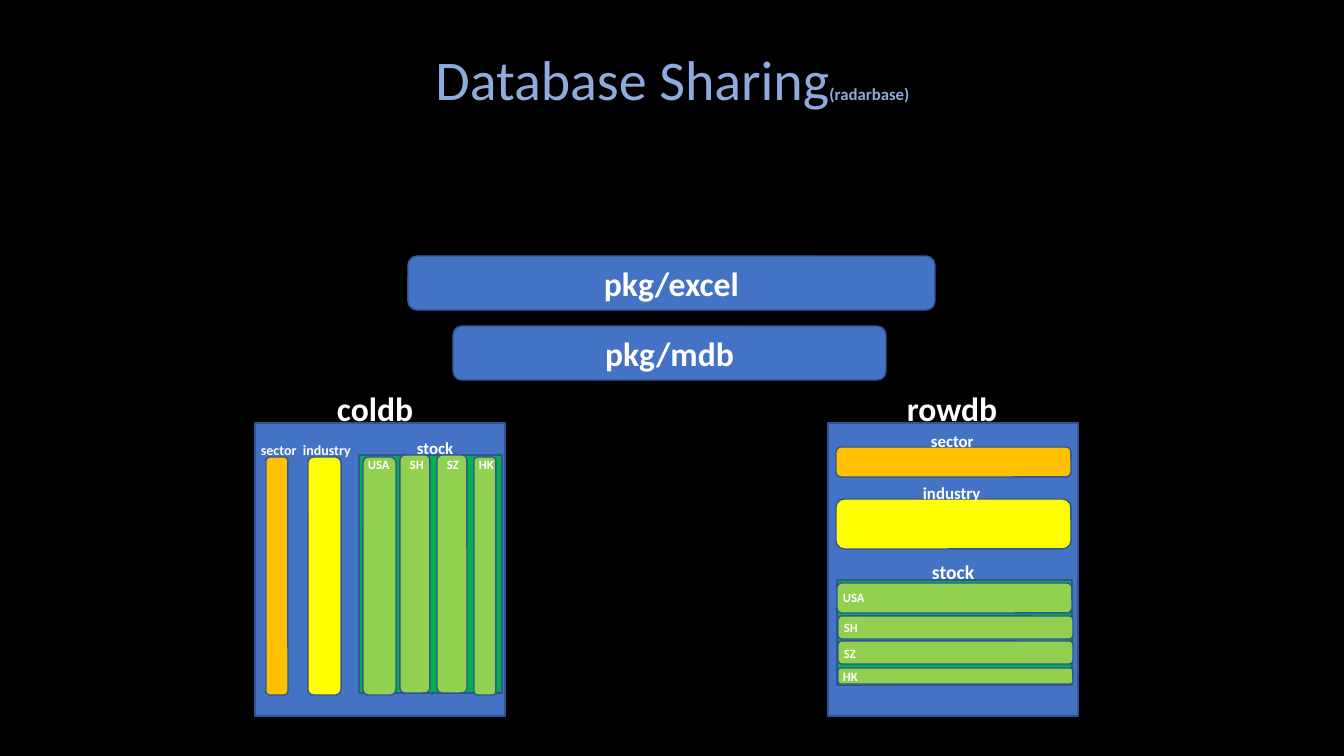
import pptx
import pptx.dml.color
import pptx.enum.shapes
import pptx.enum.text
import pptx.util

SHAPE = pptx.enum.shapes.MSO_SHAPE
ALIGN = pptx.enum.text.PP_ALIGN
ANCHOR = pptx.enum.text.MSO_ANCHOR
AUTO_SIZE = pptx.enum.text.MSO_AUTO_SIZE

BLACK, WHITE, TITLE_BLUE = "000000", "FFFFFF", "8FAADC"
BLUE, OUTLINE = "4472C4", "325491"
ORANGE, YELLOW, DARK_GREEN, GREEN = "FFC000", "FFFF00", "00B050", "92D050"


def px(*lengths):
    return [pptx.util.Emu(round(length * 914400 / 100.8)) for length in lengths]


def rgb(value):
    return pptx.dml.color.RGBColor.from_string(value)


class Diagram:
    def __init__(self, slide, font_name="Calibri"):
        self.slide = slide
        self.font_name = font_name

    def background(self, color):
        fill = self.slide.background.fill
        fill.solid()
        fill.fore_color.rgb = rgb(color)

    def style(self, font, size, color=WHITE, bold=True):
        font.name = self.font_name
        font.size = pptx.util.Pt(size)
        font.bold = bold
        font.color.rgb = rgb(color)

    def title(self, box, parts):
        """Fill the title with (text, size, bold) parts."""
        title = self.slide.shapes.title
        title.left, title.top, title.width, title.height = px(*box)
        frame = title.text_frame
        frame.word_wrap = True
        frame.auto_size = AUTO_SIZE.NONE
        frame.vertical_anchor = ANCHOR.TOP
        paragraph = frame.paragraphs[0]
        paragraph.alignment = ALIGN.CENTER
        for text, size, bold in parts:
            run = paragraph.add_run()
            run.text = text
            self.style(run.font, size, TITLE_BLUE, bold)

    def block(self, box, color, kind=SHAPE.ROUNDED_RECTANGLE, text=None):
        shape = self.slide.shapes.add_shape(kind, *px(*box))
        shape.shadow.inherit = False
        shape.fill.solid()
        shape.fill.fore_color.rgb = rgb(color)
        shape.line.color.rgb = rgb(OUTLINE)
        shape.line.width = pptx.util.Pt(1)
        if text:
            shape.text_frame.vertical_anchor = ANCHOR.MIDDLE
            paragraph = shape.text_frame.paragraphs[0]
            paragraph.text = text
            paragraph.alignment = ALIGN.CENTER
            self.style(paragraph.font, 24)

    def label(self, text, box, size):
        frame = self.slide.shapes.add_textbox(*px(*box)).text_frame
        frame.word_wrap = False
        frame.auto_size = AUTO_SIZE.SHAPE_TO_FIT_TEXT
        paragraph = frame.paragraphs[0]
        paragraph.text = text
        self.style(paragraph.font, size)


def draw_databases(diagram):
    for name, panel_left, label_left, label_width in (
        ("coldb", 255, 327, 97),
        ("rowdb", 828, 897, 112),
    ):
        diagram.block((panel_left, 423, 250, 293), BLUE, SHAPE.RECTANGLE)
        diagram.label(name, (label_left, 383, label_width, 50), 24)


def draw_column_tables(diagram):
    bar_height = 238
    diagram.block((359, 455, 143, bar_height), DARK_GREEN, SHAPE.RECTANGLE)
    for left, top, width, color in (
        (266, 457, 22, ORANGE),
        (308, 457, 33, YELLOW),
        (363, 457, 33, GREEN),
        (400, 455, 30, GREEN),
        (437, 455, 30, GREEN),
        (474, 457, 22, GREEN),
    ):
        diagram.block((left, top, width, bar_height), color)
    for text, box, size in (
        ("sector", (251, 437, 58, 27), 10),
        ("industry", (293, 437, 71, 27), 10),
        ("stock", (407, 433, 60, 30), 12),
        ("USA", (358, 452, 44, 25), 9),
        ("SH", (400, 452, 36, 25), 9),
        ("SZ", (437, 452, 34, 25), 9),
        ("HK", (469, 452, 37, 25), 9),
    ):
        diagram.label(text, box, size)


def draw_row_tables(diagram):
    bar_width = 235
    diagram.block((837, 580, bar_width, 105), DARK_GREEN, SHAPE.RECTANGLE)
    for left, top, height, color, text, label_box, size in (
        (836, 447, 30, ORANGE, "sector", (921, 426, 66, 30), 12),
        (836, 499, 50, YELLOW, "industry", (913, 478, 81, 30), 12),
        (837, 583, 30, GREEN, "USA", (833, 585, 44, 25), 9),
        (838, 616, 23, GREEN, "SH", (834, 615, 36, 25), 9),
        (838, 641, 23, GREEN, "SZ", (834, 641, 34, 25), 9),
        (838, 668, 16, GREEN, "HK", (833, 664, 37, 25), 9),
    ):
        diagram.block((left, top, bar_width, height), color)
        diagram.label(text, label_box, size)
    diagram.label("stock", (922, 555, 66, 34), 14)


def main():
    presentation = pptx.Presentation()
    presentation.slide_width, presentation.slide_height = px(1344, 756)
    title_only = presentation.slide_layouts[5]
    diagram = Diagram(presentation.slides.add_slide(title_only))
    diagram.background(BLACK)
    diagram.title(
        (207, 39, 931, 78),
        [("Database Sharing", 40, False), ("(radarbase)", 12, True)],
    )
    draw_databases(diagram)
    draw_column_tables(diagram)
    draw_row_tables(diagram)
    diagram.block((408, 256, 527, 54), BLUE, text="pkg/excel")
    diagram.block((453, 326, 433, 54), BLUE, text="pkg/mdb")
    presentation.save("out.pptx")


if __name__ == "__main__":
    main()
